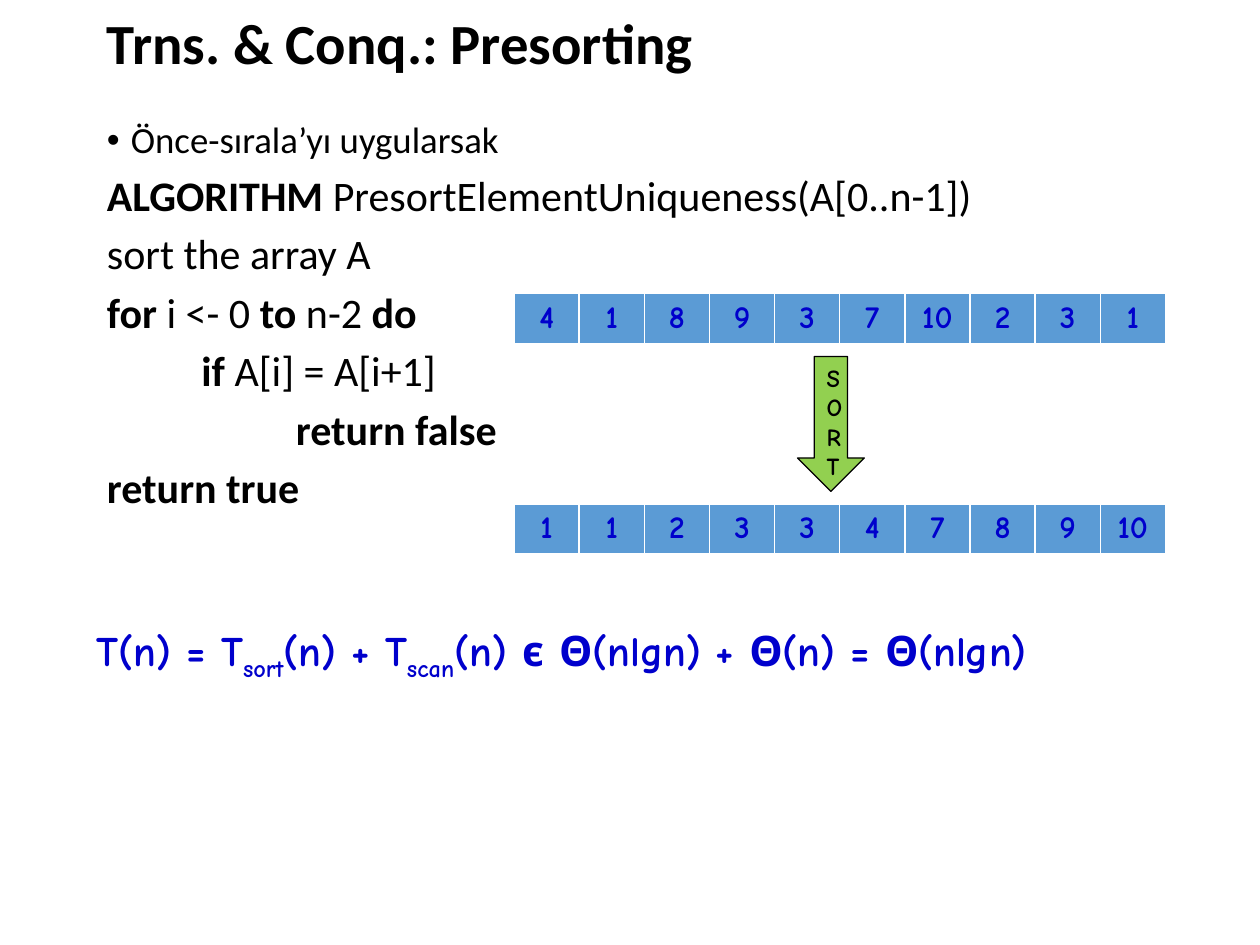
from dataclasses import dataclass

from lxml.etree import SubElement
from pptx import Presentation
from pptx.dml.color import RGBColor
from pptx.enum.shapes import MSO_SHAPE
from pptx.enum.text import MSO_ANCHOR, MSO_AUTO_SIZE, PP_ALIGN
from pptx.oxml.ns import qn
from pptx.util import Inches, Pt


@dataclass(frozen=True)
class Theme:
    black: str = "000000"
    white: str = "FFFFFF"
    ink: str = "0000CC"
    cell: str = "5B9BD5"
    arrow: str = "92D050"
    body_font: str = "Calibri"
    hand_font: str = "Comic Neue"
    title: float = 32.4
    bullet: float = 21
    code: float = 24
    formula: float = 24
    number: float = 18
    label: float = 14


THEME = Theme()
INDENT = 0.75


def write(paragraph, text, size, font=THEME.body_font, color=THEME.black,
          bold=False, baseline=None):
    """Append one formatted run to a paragraph."""
    run = paragraph.add_run()
    run.text = text
    run.font.size = Pt(size)
    run.font.name = font
    run.font.bold = bold
    run.font.color.rgb = RGBColor.from_string(color)
    if baseline is not None:
        run.font._element.set("baseline", str(baseline * 1000))


def paragraphs(frame, count):
    """Return the first paragraph of a frame and as many new ones as needed."""
    return [frame.paragraphs[0]] + [frame.add_paragraph() for _ in range(count - 1)]


def add_frame(slide, left, top, width, height):
    box = slide.shapes.add_textbox(Inches(left), Inches(top), Inches(width), Inches(height))
    box.text_frame.word_wrap = True
    return box.text_frame


def set_indent(paragraph, left, first=0.0):
    properties = paragraph._p.get_or_add_pPr()
    properties.set("marL", str(Inches(left)))
    properties.set("indent", str(Inches(first)))
    return properties


def add_title(slide, text, *box):
    frame = add_frame(slide, *box)
    frame.vertical_anchor = MSO_ANCHOR.MIDDLE
    heading = frame.paragraphs[0]
    heading.line_spacing = 0.9
    write(heading, text, THEME.title, bold=True)


def add_algorithm(slide, intro, lines, *box):
    """Bulleted intro, then pseudocode lines of (level, [(text, bold), ...])."""
    frame = add_frame(slide, *box)
    bullet, *steps = paragraphs(frame, len(lines) + 1)

    properties = set_indent(bullet, 0.19, -0.19)
    SubElement(properties, qn("a:buFont"), typeface="Arial")
    SubElement(properties, qn("a:buChar"), char="•")
    bullet.line_spacing = 0.9
    write(bullet, intro, THEME.bullet)

    for step, (level, parts) in zip(steps, lines):
        set_indent(step, level * INDENT)
        step.line_spacing = 0.9
        step.space_before = Pt(7.5)
        for text, bold in parts:
            write(step, text, THEME.code, bold=bold)


def add_formula(slide, parts, *box):
    frame = add_frame(slide, *box)
    frame.auto_size = MSO_AUTO_SIZE.SHAPE_TO_FIT_TEXT
    for text, baseline in parts:
        write(frame.paragraphs[0], text, THEME.formula, THEME.hand_font, THEME.ink,
              bold=True, baseline=baseline)


def set_borders(cell):
    properties = cell._tc.get_or_add_tcPr()
    for index, (side, width) in enumerate((("lnL", 1), ("lnR", 1), ("lnT", 1), ("lnB", 3))):
        line = SubElement(properties, qn(f"a:{side}"), w=str(Pt(width)))
        fill = SubElement(line, qn("a:solidFill"))
        SubElement(fill, qn("a:srgbClr"), val=THEME.white)
        properties.insert(index, line)


def add_array(slide, values, left, top, width, height):
    table = slide.shapes.add_table(1, len(values), Inches(left), Inches(top),
                                   Inches(width), Inches(height)).table
    for column, value in enumerate(values):
        table.columns[column].width = Inches(width / len(values))
        cell = table.cell(0, column)
        cell.fill.solid()
        cell.fill.fore_color.rgb = RGBColor.from_string(THEME.cell)
        set_borders(cell)
        number = cell.text_frame.paragraphs[0]
        number.alignment = PP_ALIGN.CENTER
        write(number, str(value), THEME.number, THEME.hand_font, THEME.ink, bold=True)


def add_sort_arrow(slide, word, left, top, width, height):
    arrow = slide.shapes.add_shape(MSO_SHAPE.DOWN_ARROW, Inches(left), Inches(top),
                                   Inches(width), Inches(height))
    arrow.shadow.inherit = False
    arrow.fill.solid()
    arrow.fill.fore_color.rgb = RGBColor.from_string(THEME.arrow)
    arrow.line.color.rgb = RGBColor.from_string(THEME.black)
    arrow.line.width = Pt(0.75)
    frame = arrow.text_frame
    frame.word_wrap = True
    frame.vertical_anchor = MSO_ANCHOR.TOP
    for row, letter in zip(paragraphs(frame, len(word)), word):
        row.alignment = PP_ALIGN.LEFT
        write(row, letter, THEME.label, THEME.hand_font, bold=True)


def add_sorting_example(slide, values, left, top, width, height):
    """Unsorted array above, sorted array below, arrow between them."""
    row_height, arrow_width = 0.41, 0.53
    add_array(slide, values, left, top, width, row_height)
    add_array(slide, sorted(values), left, top + height - row_height, width, row_height)
    add_sort_arrow(slide, "SORT", left + (width - arrow_width) / 2 - 0.07, top + 0.5,
                   arrow_width, 1.07)


def main():
    deck = Presentation()
    deck.slide_width, deck.slide_height = Inches(10), Inches(7.5)
    slide = deck.slides.add_slide(deck.slide_layouts[6])

    # Title
    add_title(slide, "Trns. & Conq.: Presorting", 0.75, 0.08, 7.51, 0.58)

    # Pseudocode
    add_algorithm(slide, "Önce-sırala’yı uygularsak", [
        (0, [("ALGORITHM ", True), ("PresortElementUniqueness(A[0..n-1])", False)]),
        (0, [("sort the array A", False)]),
        (0, [("for ", True), ("i <- 0 ", False), ("to", True), (" n-2 ", False), ("do", True)]),
        (1, [("if", True), (" A[i] = A[i+1]", False)]),
        (2, [("return false", True)]),
        (0, [("return true", True)]),
    ], 0.75, 0.92, 8.42, 5.08)

    # Running time
    add_formula(slide, [
        ("T(n) = T", None), ("sort", -25), ("(n) + T", None), ("scan", -25),
        ("(n) є Θ(nlgn) + Θ(n) = Θ(nlgn)", None),
    ], 0.67, 4.91, 8.5, 0.5)

    # Array before and after sorting
    add_sorting_example(slide, [4, 1, 8, 9, 3, 7, 10, 2, 3, 1], 4.08, 2.33, 5.17, 2.08)

    deck.save("out.pptx")


if __name__ == "__main__":
    main()
